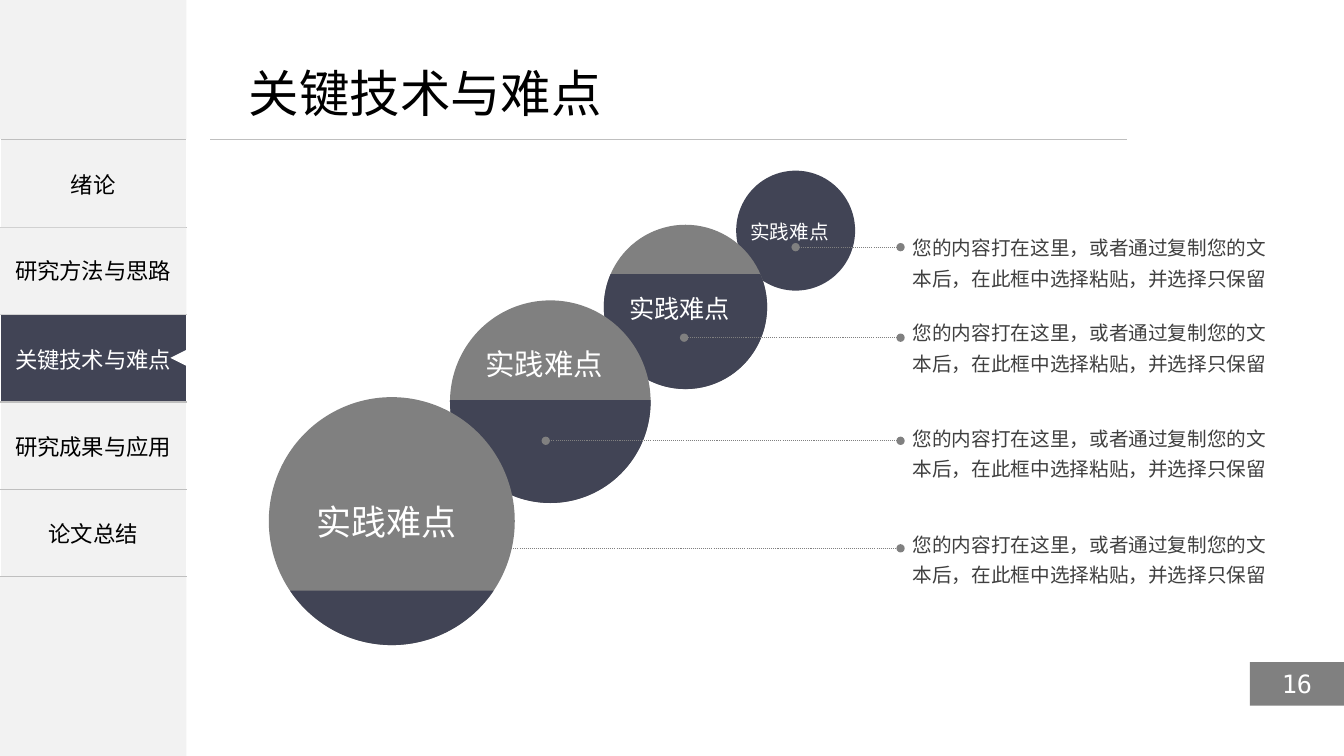
"""Build the slide on key techniques and difficulties."""
import math
from dataclasses import dataclass
from typing import Optional

from lxml import etree
from pptx import Presentation
from pptx import util as u
from pptx.dml.color import RGBColor
from pptx.enum import dml, shapes, text
from pptx.oxml import ns

CELL = u.Inches(0.1)
PAGE_COLUMNS, PAGE_ROWS = 133.33, 75
MENU_COLUMNS, MENU_TOP, MENU_ROW = 18.5, 13.87, 8.67
NOTE_LEFT, DOT_RIGHT = 90.14, 89.34

WHITE = RGBColor(0xFF, 0xFF, 0xFF)
BLACK = RGBColor(0x00, 0x00, 0x00)
PALE = RGBColor(0xF2, 0xF2, 0xF2)
RULE = RGBColor(0xBF, 0xBF, 0xBF)
GREY = RGBColor(0x80, 0x80, 0x80)
NAVY = RGBColor(0x41, 0x44, 0x55)
INK = RGBColor(0x40, 0x40, 0x40)

CJK_FONT, NUMBER_FONT = "Noto Sans CJK SC", "DejaVu Sans Mono"
LEFT, CENTER = text.PP_ALIGN.LEFT, text.PP_ALIGN.CENTER
TOP, MIDDLE = text.MSO_ANCHOR.TOP, text.MSO_ANCHOR.MIDDLE
TITLE = "关键技术与难点"
PANEL = "研究方法与思路"
MENU = ["绪论", None, TITLE, "研究成果与应用", "论文总结"]
LABEL = "实践难点"
NOTE = "您的内容打在这里，或者通过复制您的文本后，在此框中选择粘贴，并选择只保留"


@dataclass
class Stage:
    """A circle with its label, leader line and note, in grid cells."""
    frame: tuple
    cut: Optional[float]
    label_centre: tuple
    label_size: int
    dot: tuple
    note_top: float


STAGES = [
    Stage((73.03, 16.93, 11.8, 11.9), None, (78.45, 22.95), 14, (78.93, 24.52), 22.34),
    Stage((59.9, 22.3, 16.2, 16.3), 27.2, (67.55, 30.6), 18, (67.87, 33.5), 30.74),
    Stage((44.64, 29.8, 19.9, 20.1), 39.7, (54.15, 36.05), 21, (54.14, 43.73), 41.24),
    Stage((26.67, 39.4, 24.4, 24.6), 58.6, (38.5, 51.75), 25, (38.9, 54.4), 51.74),
]


def grid(*cells):
    """Turn counts of grid cells into lengths."""
    return [round(count * CELL) for count in cells]


def write(para, words, size, color, align=LEFT, font=CJK_FONT):
    """Add one formatted run to an aligned paragraph."""
    para.alignment = align
    span = para.add_run()
    span.text = words
    span.font.size = u.Pt(size)
    span.font.color.rgb = color
    span.font.name = font
    east = etree.SubElement(span._r.get_or_add_rPr(), ns.qn("a:ea"))
    east.set("typeface", font)


def set_frame(frame, inset, wrap, anchor):
    """Set the insets, wrapping and anchor of a text frame."""
    frame.margin_left = frame.margin_right = u.Inches(inset)
    frame.margin_top = frame.margin_bottom = u.Inches(inset)
    frame.word_wrap = wrap
    frame.auto_size = text.MSO_AUTO_SIZE.SHAPE_TO_FIT_TEXT
    frame.vertical_anchor = anchor


def paint(shape, color):
    """Give a shape a plain fill without outline or shadow."""
    shape.shadow.inherit = False
    shape.fill.solid()
    shape.fill.fore_color.rgb = color
    shape.line.fill.background()
    return shape


def add_block(page, kind, frame, color):
    """Add a plain preset shape."""
    return paint(page.shapes.add_shape(kind, *grid(*frame)), color)


def add_words(page, frame, inset, wrap, anchor):
    """Add an empty text box and return its paragraph."""
    box = page.shapes.add_textbox(*grid(*frame))
    set_frame(box.text_frame, inset, wrap, anchor)
    return box.text_frame.paragraphs[0]


def add_rule(page, start, end, color, width, dotted=False):
    """Add a straight line, dotted with round ends if wanted."""
    line = page.shapes.add_connector(
        shapes.MSO_CONNECTOR.STRAIGHT, *grid(*start, *end))
    line.line.color.rgb = color
    line.line.width = u.Pt(width)
    if dotted:
        line.line.dash_style = dml.MSO_LINE.ROUND_DOT
        for tag in ("a:headEnd", "a:tailEnd"):
            etree.SubElement(line.line._get_or_add_ln(), ns.qn(tag)).set("type", "oval")
    etree.SubElement(line._element.spPr, ns.qn("a:effectLst"))


def add_segment(page, frame, cut):
    """Fill the part of a circle below the cut with a curved outline."""
    left, top, width, height = frame
    start = math.asin((cut - top - height / 2) / (height / 2))
    stops = [start, math.pi / 2, math.pi - start]
    if start < 0:
        stops = sorted(stops + [0, math.pi])

    def spot(angle, pull=0.0):
        x = math.cos(angle) - pull * math.sin(angle)
        y = math.sin(angle) + pull * math.cos(angle)
        return grid(left + width / 2 * (1 + x), top + height / 2 * (1 + y))

    builder = page.shapes.build_freeform(*spot(start))
    curves = []
    for first, last in zip(stops, stops[1:]):
        pull = 4 / 3 * math.tan((last - first) / 4)
        curves += [spot(first, pull), spot(last, -pull), spot(last)]
    builder.add_line_segments(curves, close=True)
    segment = paint(builder.convert_to_shape(), NAVY)
    lines = list(segment._element.iter(ns.qn("a:lnTo")))
    for index in range(0, len(curves), 3):
        curve = etree.Element(ns.qn("a:cubicBezTo"))
        lines[index].addprevious(curve)
        for line in lines[index:index + 3]:
            curve.append(line[0])
            line.getparent().remove(line)


def add_border(cell, side):
    """Draw a border on one side of a table cell."""
    line = etree.SubElement(cell._tc.get_or_add_tcPr(), ns.qn(side), w=str(u.Pt(1)))
    fill = etree.SubElement(line, ns.qn("a:solidFill"))
    etree.SubElement(fill, ns.qn("a:srgbClr"), val=str(RULE))


def add_menu(page):
    """Add the side menu with the current chapter marked."""
    rectangle = shapes.MSO_SHAPE.RECTANGLE
    add_block(page, rectangle, (0, 0, MENU_COLUMNS, PAGE_ROWS), PALE)
    table = page.shapes.add_table(len(MENU), 1, *grid(
        0, MENU_TOP, MENU_COLUMNS, MENU_ROW * len(MENU))).table
    table.first_row = table.horz_banding = False
    for row, chapter in enumerate(MENU):
        cell = table.cell(row, 0)
        current = chapter == TITLE
        for side in ("a:lnT", "a:lnB"):
            add_border(cell, side)
        cell.fill.background()
        if current:
            cell.fill.solid()
            cell.fill.fore_color.rgb = NAVY
        cell.vertical_anchor = MIDDLE
        cell.margin_left = cell.margin_right = u.Inches(0.05)
        cell.margin_top = cell.margin_bottom = u.Inches(0.05)
        if chapter:
            write(cell.text_frame.paragraphs[0], chapter, 16,
                  WHITE if current else BLACK, CENTER)
    panel_top = MENU_TOP + MENU_ROW
    add_block(page, rectangle, (0, panel_top + 0.05, MENU_COLUMNS, 8.6), PALE)
    para = add_words(page, (0, panel_top + 2.3, MENU_COLUMNS, 4.1), 0.05, True, MIDDLE)
    write(para, PANEL, 16, BLACK, CENTER)


def add_title(page):
    """Place the title, the rule under it and the menu pointer."""
    add_rule(page, (20.86, MENU_TOP), (111.8, MENU_TOP), RULE, 0.5)
    title = page.shapes.title
    title.left, title.top, title.width, title.height = grid(24.2, 5.7, 36.1, 7.9)
    set_frame(title.text_frame, 0.05, False, TOP)
    write(title.text_frame.paragraphs[0], TITLE, 36, BLACK)
    pointer = add_block(page, shapes.MSO_SHAPE.ISOSCELES_TRIANGLE,
                        (MENU_COLUMNS - 1.6, 34.7, 1.6, 1.6), WHITE)
    pointer.rotation = 270


def add_page_number(page):
    """Add the page number at the right edge."""
    badge = add_block(page, shapes.MSO_SHAPE.RECTANGLE,
                      (PAGE_COLUMNS - 9.33, 65.7, 9.33, 4.3), GREY)
    set_frame(badge.text_frame, 0.05, True, MIDDLE)
    write(badge.text_frame.paragraphs[0], "16", 18, WHITE, CENTER, NUMBER_FONT)


def add_stages(page):
    """Add the circles, then their labels, leader lines and notes."""
    for stage in STAGES:
        add_block(page, shapes.MSO_SHAPE.OVAL, stage.frame, GREY if stage.cut else NAVY)
        if stage.cut:
            add_segment(page, stage.frame, stage.cut)
    for stage in STAGES:
        x, y = stage.label_centre
        width, height = stage.label_size * 0.56 + 1, stage.label_size * 0.2 + 0.85
        add_rule(page, stage.dot, (DOT_RIGHT, stage.dot[1]), GREY, 0.75, dotted=True)
        label = (x - width / 2, y - height / 2, width, height)
        write(add_words(page, label, 0.04, False, MIDDLE), LABEL, stage.label_size, WHITE)
        para = add_words(page, (NOTE_LEFT, stage.note_top, 37.4, 7.3), 0.04, True, TOP)
        para.line_spacing = 1.3
        write(para, NOTE, 14, INK)


def main():
    """Build and save the deck."""
    deck = Presentation()
    deck.slide_width, deck.slide_height = grid(PAGE_COLUMNS, PAGE_ROWS)
    page = deck.slides.add_slide(deck.slide_layouts.get_by_name("Title Only"))
    add_menu(page)
    add_title(page)
    add_page_number(page)
    add_stages(page)
    deck.save("out.pptx")


if __name__ == "__main__":
    main()
